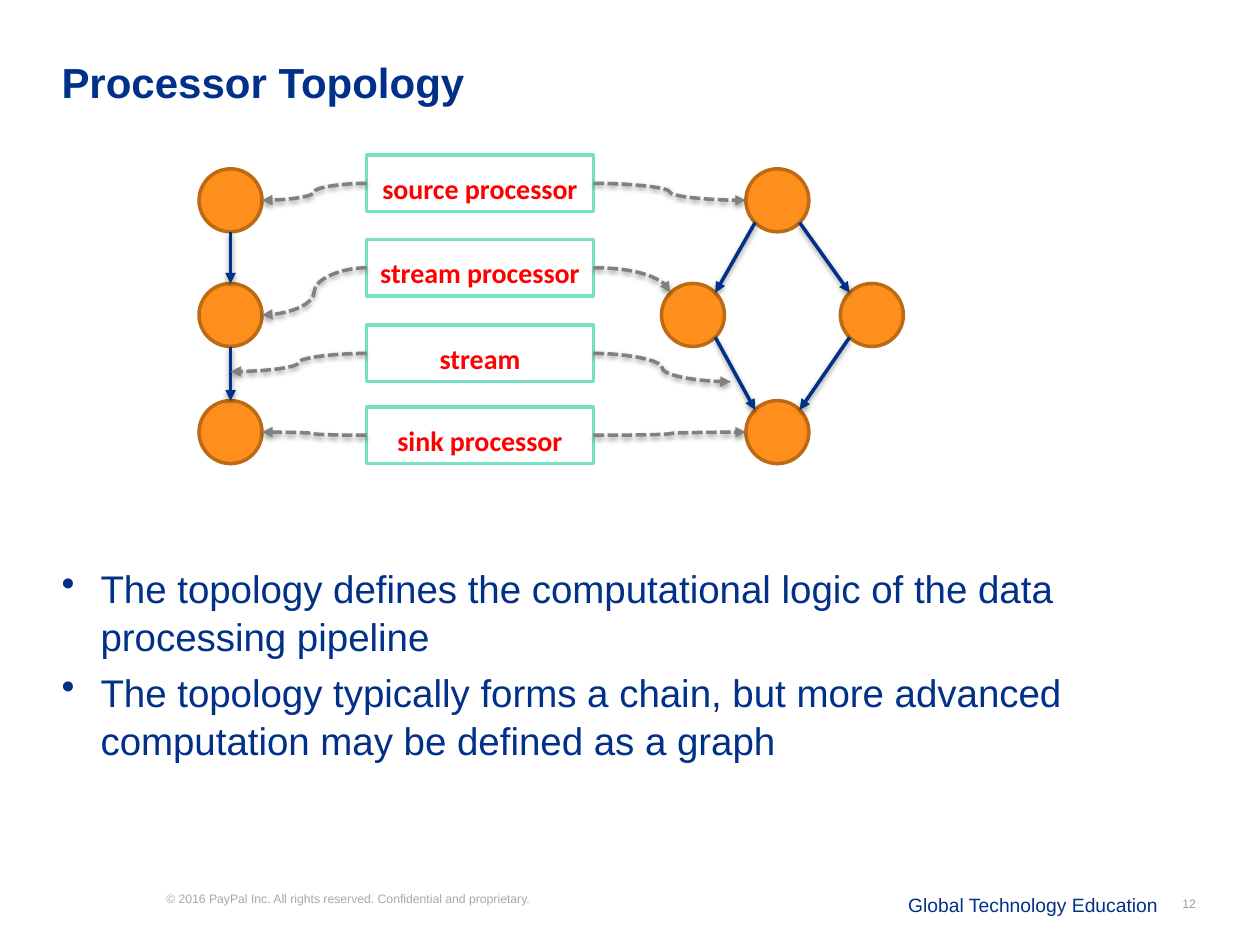
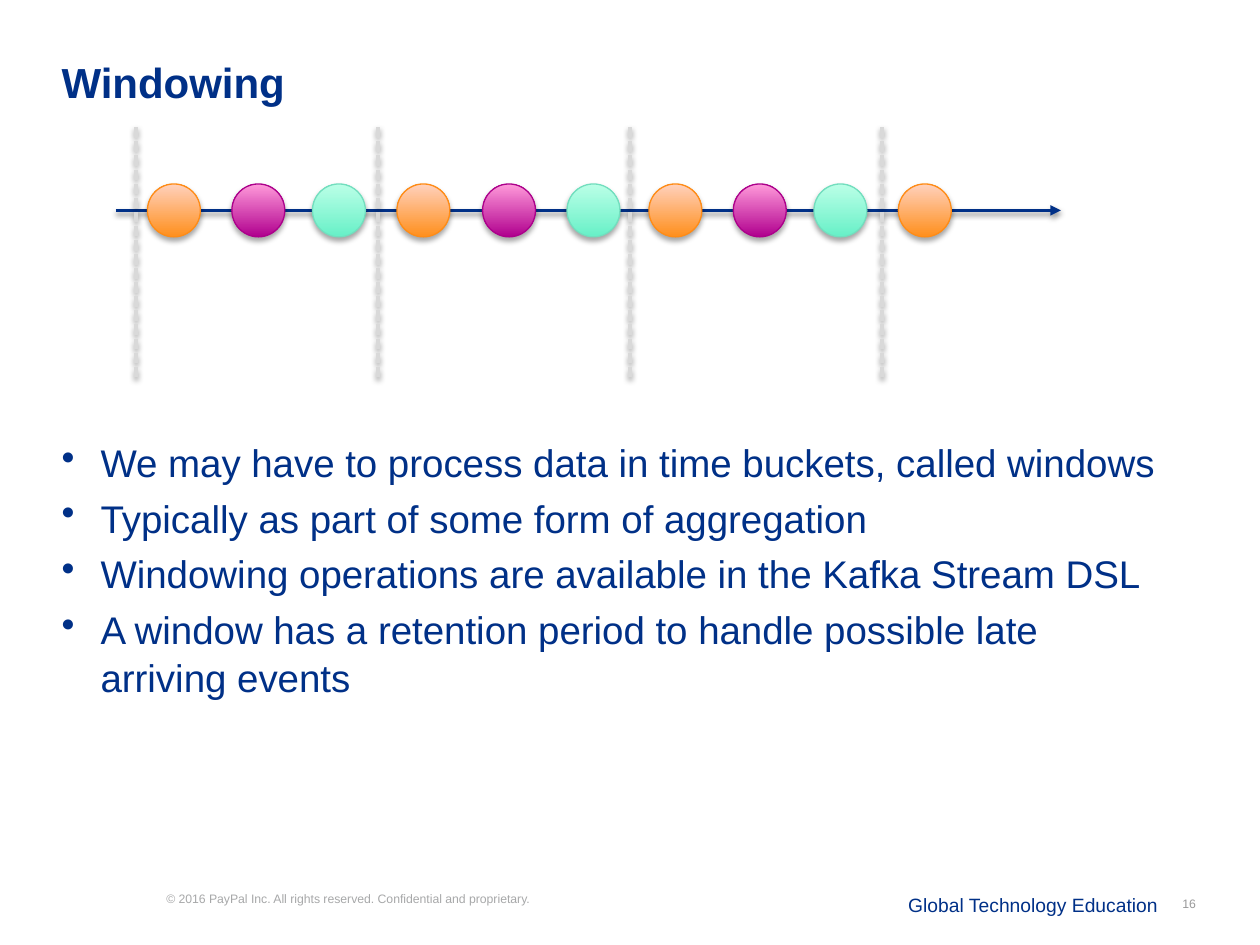
from dataclasses import dataclass
from math import copysign, sqrt

from lxml import etree
from pptx import Presentation
from pptx.dml.color import RGBColor
from pptx.enum.dml import MSO_LINE_DASH_STYLE as Dash
from pptx.enum.shapes import MSO_CONNECTOR as Connector, MSO_SHAPE as Shape
from pptx.enum.text import MSO_ANCHOR as Anchor, PP_ALIGN as Align
from pptx.oxml.ns import qn
from pptx.util import Inches, Pt


@dataclass(frozen=True)
class Theme:
    heading_font: str = "Arial"
    label_font: str = "Calibri"
    navy: str = "003087"
    orange: str = "FF8F1C"
    node_line: str = "BD6A15"
    mint: str = "77E0C1"
    red: str = "FF0000"
    white: str = "FFFFFF"
    callout: str = "808080"
    divider: str = "D9D9D9"
    copyright: str = "A7A8A9"
    number: str = "99999A"
    title_size: float = 24
    body_size: float = 22
    label_size: float = 16
    footer_size: float = 11
    small_size: float = 7
    line_width: float = 2
    event_line_width: float = 0.75


THEME = Theme()
EVENT_STYLES = [
    ("FF8F1C", "FFD1BD", "FF8C16"),
    ("B0008E", "FF9ADA", "AC008B"),
    ("67F0C7", "BBFFE7", "72DEBE"),
]


def rgb(color):
    return RGBColor.from_string(color)


def style_text(paragraph, size, color, bold=False, font=THEME.heading_font):
    for run in paragraph.runs:
        run.font.name = font
        run.font.size = Pt(size)
        run.font.bold = bold
        run.font.color.rgb = rgb(color)


def add_text(slide, box, lines, size, color, bold=False, line_spacing=1.0,
             align=Align.LEFT, anchor=Anchor.TOP, wrap=True, inset=True):
    shape = slide.shapes.add_textbox(*map(Inches, box))
    frame = shape.text_frame
    frame.word_wrap = wrap
    frame.vertical_anchor = anchor
    if not inset:
        frame.margin_left = frame.margin_top = 0
        frame.margin_right = frame.margin_bottom = 0
    frame.text = "\n".join(lines)
    for paragraph in frame.paragraphs:
        paragraph.alignment = align
        paragraph.line_spacing = line_spacing
        style_text(paragraph, size, color, bold)
    return frame


def hang_indent(paragraph, bullet=None):
    properties = paragraph._p.get_or_add_pPr()
    properties.set("marL", str(Inches(0.31)))
    properties.set("indent", str(-Inches(0.31)))
    if bullet:
        etree.SubElement(properties, qn("a:buChar")).set("char", bullet)


def add_shadow(shape, opacity=38, distance=1.6):
    properties = shape._element.spPr
    for old in properties.findall(qn("a:effectLst")):
        properties.remove(old)
    effects = etree.SubElement(properties, qn("a:effectLst"))
    shadow = etree.SubElement(
        effects, qn("a:outerShdw"), blurRad=str(Pt(3.1)),
        dist=str(Pt(distance)), dir="5400000", rotWithShape="0")
    color = etree.SubElement(shadow, qn("a:srgbClr"), val="000000")
    etree.SubElement(color, qn("a:alpha"), val=str(opacity * 1000))


def add_line(slide, start, end, color, kind=Connector.STRAIGHT, dash=None, arrow=True):
    connector = slide.shapes.add_connector(kind, *map(Inches, (*start, *end)))
    connector.line.color.rgb = rgb(color)
    connector.line.width = Pt(THEME.line_width)
    if dash:
        connector.line.dash_style = dash
    if arrow:
        etree.SubElement(connector.line._get_or_add_ln(), qn("a:tailEnd"), type="triangle")
    add_shadow(connector)
    return connector


def add_outlined(slide, kind, box, fill, line, width=THEME.line_width):
    shape = slide.shapes.add_shape(kind, *map(Inches, box))
    shape.shadow.inherit = False
    shape.fill.solid()
    shape.fill.fore_color.rgb = rgb(fill)
    shape.line.color.rgb = rgb(line)
    shape.line.width = Pt(width)
    return shape


def add_frame(presentation, title, number):
    slide = presentation.slides.add_slide(presentation.slide_layouts[6])
    add_text(slide, (1.32, 7.07, 3.96, 0.24),
             ["© 2016 PayPal Inc. All rights reserved. Confidential and proprietary."],
             THEME.small_size, THEME.copyright, inset=False)
    add_text(slide, (7.11, 6.97, 2.22, 0.33), ["Global Technology Education"],
             THEME.footer_size, THEME.navy, line_spacing=1.4, wrap=False)
    add_text(slide, (0.39, 0.36, 9, 0.65), [title],
             THEME.title_size, THEME.navy, bold=True, line_spacing=1.1)
    add_text(slide, (9.22, 6.97, 0.37, 0.4), [str(number)],
             THEME.small_size, THEME.number, align=Align.RIGHT, anchor=Anchor.MIDDLE)
    return slide


def add_bullets(slide, box, lines):
    frame = add_text(slide, box, lines, THEME.body_size, THEME.navy, line_spacing=1.04)
    for index, paragraph in enumerate(frame.paragraphs):
        hang_indent(paragraph, "•")
        paragraph.space_before = Pt(0.2 * THEME.body_size if index else 0)


def add_label(slide, box, text):
    label = add_outlined(slide, Shape.RECTANGLE, box, THEME.white, THEME.mint)
    frame = label.text_frame
    frame.word_wrap = True
    frame.vertical_anchor = Anchor.TOP
    frame.text = text
    paragraph = frame.paragraphs[0]
    hang_indent(paragraph)
    paragraph.alignment = Align.CENTER
    paragraph.line_spacing = 1.3
    style_text(paragraph, THEME.label_size, THEME.red, True, THEME.label_font)
    return label


def add_node_graph(slide, left, top, centers, edges):
    radius = 0.25
    for x, y in centers:
        add_outlined(slide, Shape.OVAL,
                     (left + x - radius, top + y - radius, 2 * radius, 2 * radius),
                     THEME.orange, THEME.node_line)
    for source, target in edges:
        (x1, y1), (x2, y2) = centers[source], centers[target]
        reach_x = copysign(radius / sqrt(2), x2 - x1) if x1 != x2 else 0
        reach_y = sqrt(radius ** 2 - reach_x ** 2)
        add_line(slide, (left + x1 + reach_x, top + y1 + reach_y),
                 (left + x2 - reach_x, top + y2 - reach_y), THEME.navy)


def add_topology(slide, left, top):
    rows = (0.36, 1.27, 2.2)
    add_node_graph(slide, left, top, [(0.25, y) for y in rows], [(0, 1), (1, 2)])
    add_node_graph(slide, left, top,
                   [(4.59, rows[0]), (3.92, rows[1]), (5.34, rows[1]), (4.59, rows[2])],
                   [(0, 1), (0, 2), (1, 3), (2, 3)])
    callouts = [
        ("source processor", 0, (0.5, rows[0]), (4.34, rows[0])),
        ("stream processor", 0.67, (0.5, rows[1]), (3.74, 1.09)),
        ("stream", 1.35, (0.25, 1.72), (4.22, 1.8)),
        ("sink processor", 2, (0.5, rows[2]), (4.34, rows[2])),
    ]
    width, height, label_left = 1.8, 0.45, 1.33
    for text, y, left_target, right_target in callouts:
        label = add_label(slide, (left + label_left, top + y, width, height), text)
        for side, x, target in ((1, label_left, left_target),
                                (3, label_left + width, right_target)):
            curve = add_line(slide, (left + x, top + y + height / 2),
                             (left + target[0], top + target[1]),
                             THEME.callout, Connector.CURVE, Dash.SQUARE_DOT)
            curve.begin_connect(label, side)
            if text == "stream processor" and side == 3:
                curve._element.spPr.find(qn("a:prstGeom")).set("prst", "curvedConnector2")


def add_event(slide, box, style):
    dark, light, outline = style
    event = add_outlined(slide, Shape.OVAL, box, dark, outline, THEME.event_line_width)
    event.fill.gradient()
    event.fill.gradient_angle = 90
    for stop, color in zip(event.fill.gradient_stops, (dark, light)):
        stop.color.rgb = rgb(color)
    add_shadow(event, 35, 1.8)


def add_timeline(slide, left, top):
    diameter, axis = 0.42, 0.66
    add_line(slide, (left, top + axis), (left + 7.5, top + axis), THEME.navy)
    event_lefts = (0.25, 0.92, 1.56, 2.23, 2.91, 3.58, 4.23, 4.9, 5.54, 6.21)
    for index, x in enumerate(event_lefts):
        add_event(slide, (left + x, top + axis - diameter / 2, diameter, diameter),
                  EVENT_STYLES[index % len(EVENT_STYLES)])
    for x in (0.16, 2.08, 4.08, 6.08):
        add_line(slide, (left + x, top), (left + x, top + 2), THEME.divider,
                 dash=Dash.SQUARE_DOT, arrow=False)


def build_topology_slide(presentation):
    slide = add_frame(presentation, "Processor Topology", 12)
    add_bullets(slide, (0.39, 4.42, 9, 2.44), [
        "The topology defines the computational logic of the data processing pipeline",
        "The topology typically forms a chain, but more advanced computation "
        "may be defined as a graph",
    ])
    add_topology(slide, 1.58, 1.23)


def build_windowing_slide(presentation):
    slide = add_frame(presentation, "Windowing", 16)
    add_bullets(slide, (0.39, 3.42, 9, 3.44), [
        "We may have to process data in time buckets, called windows",
        "Typically as part of some form of aggregation",
        "Windowing operations are available in the Kafka Stream DSL",
        "A window has a retention period to handle possible late arriving events",
    ])
    add_timeline(slide, 0.92, 1.01)


def main():
    presentation = Presentation()
    presentation.slide_width = Inches(10)
    presentation.slide_height = Inches(7.5)
    build_topology_slide(presentation)
    build_windowing_slide(presentation)
    presentation.save("out.pptx")


if __name__ == "__main__":
    main()
